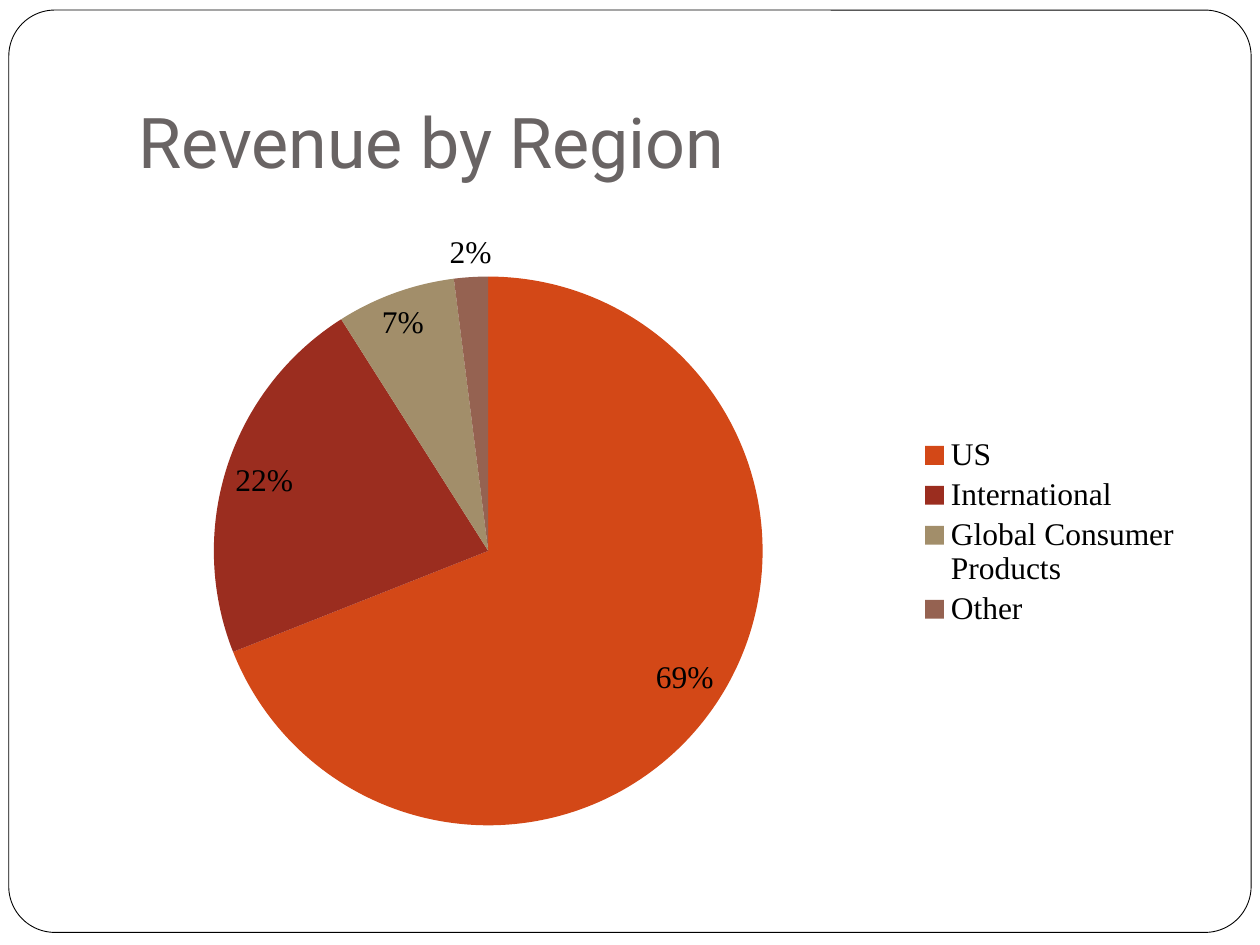
from lxml import etree
from pptx import Presentation
from pptx.chart.data import CategoryChartData
from pptx.dml.color import RGBColor
from pptx.enum.chart import XL_CHART_TYPE as ChartType
from pptx.enum.chart import XL_LABEL_POSITION as LabelPosition
from pptx.enum.chart import XL_LEGEND_POSITION as LegendPosition
from pptx.enum.shapes import MSO_SHAPE as Shape
from pptx.enum.text import MSO_ANCHOR as Anchor
from pptx.oxml.ns import qn
from pptx.util import Inches, Pt

REGIONS = [
    ("US", 69, "D34817"),
    ("International", 22, "9B2D1F"),
    ("Global Consumer Products", 7, "A28E6A"),
    ("Other", 2, "956251"),
]


def color(hex_text):
    return RGBColor.from_string(hex_text)


def add_frame(page, box):
    frame = page.shapes.add_shape(Shape.ROUNDED_RECTANGLE, *map(Inches, box))
    frame.adjustments[0] = 0.05
    frame.shadow.inherit = False
    frame.fill.solid()
    frame.fill.fore_color.rgb = color("FFFFFF")
    frame.line.color.rgb = color("000000")
    frame.line.width = Pt(0.5)


def add_title(page, box, text):
    text_frame = page.shapes.add_textbox(*map(Inches, box)).text_frame
    text_frame.word_wrap = True
    text_frame.vertical_anchor = Anchor.BOTTOM
    text_frame.margin_bottom = Inches(0.1)
    span = text_frame.paragraphs[0].add_run()
    span.text = text
    span.font.name = "Roboto"
    span.font.size = Pt(40)
    span.font.color.rgb = color("696464")


def set_layout(parent, before, inner, **fractions):
    """Fix a chart part at x, y, w, h, as fractions of the chart, ahead of the element named before."""
    for old in parent.findall(qn("c:layout")):
        parent.remove(old)
    layout = etree.Element(qn("c:layout"))
    manual = etree.SubElement(layout, qn("c:manualLayout"))
    settings = {"layoutTarget": "inner"} if inner else {}
    settings.update(xMode="edge", yMode="edge", **fractions)
    for name, value in settings.items():
        etree.SubElement(manual, qn("c:" + name)).set("val", str(value))
    parent.find(qn(before)).addprevious(layout)


def add_revenue_pie(page, box):
    names, shares, fills = zip(*REGIONS)
    data = CategoryChartData()
    data.categories = names
    data.add_series("Series 1", shares)
    chart = page.shapes.add_chart(ChartType.PIE, *map(Inches, box), data).chart
    chart.has_title = False
    chart.font.name = "Times New Roman"
    chart.font.size = Pt(18)
    chart.font.color.rgb = color("000000")

    plot = chart.plots[0]
    plot.vary_by_categories = True
    for index, fill in enumerate(fills):
        slice_format = plot.series[0].points[index].format
        slice_format.fill.solid()
        slice_format.fill.fore_color.rgb = color(fill)
        slice_format.line.fill.background()
    plot.has_data_labels = True
    labels = plot.data_labels
    labels.show_value = False
    labels.show_percentage = True
    labels.number_format = "0%"
    labels.number_format_is_linked = False
    labels.position = LabelPosition.BEST_FIT

    chart.has_legend = True
    legend = chart.legend
    legend.position = LegendPosition.RIGHT
    legend.include_in_layout = False
    plot_area = chart.element.find(".//" + qn("c:plotArea"))
    set_layout(plot_area, "c:pieChart", True, x=0.13, y=0.09, w=0.49, h=0.88)
    set_layout(chart.element.find(".//" + qn("c:legend")), "c:overlay", False,
               x=0.75, y=0.34, w=0.24, h=0.32)


def main():
    deck = Presentation()
    deck.slide_width, deck.slide_height = Inches(10), Inches(7.5)
    page = deck.slides.add_slide(deck.slide_layouts[6])
    add_frame(page, (0.07, 0.08, 9.86, 7.32))
    add_title(page, (1, 0.3, 8.5, 1.25), "Revenue by Region")
    add_revenue_pie(page, (0.5, 1.75, 9, 4.95))
    deck.save("out.pptx")


if __name__ == "__main__":
    main()
